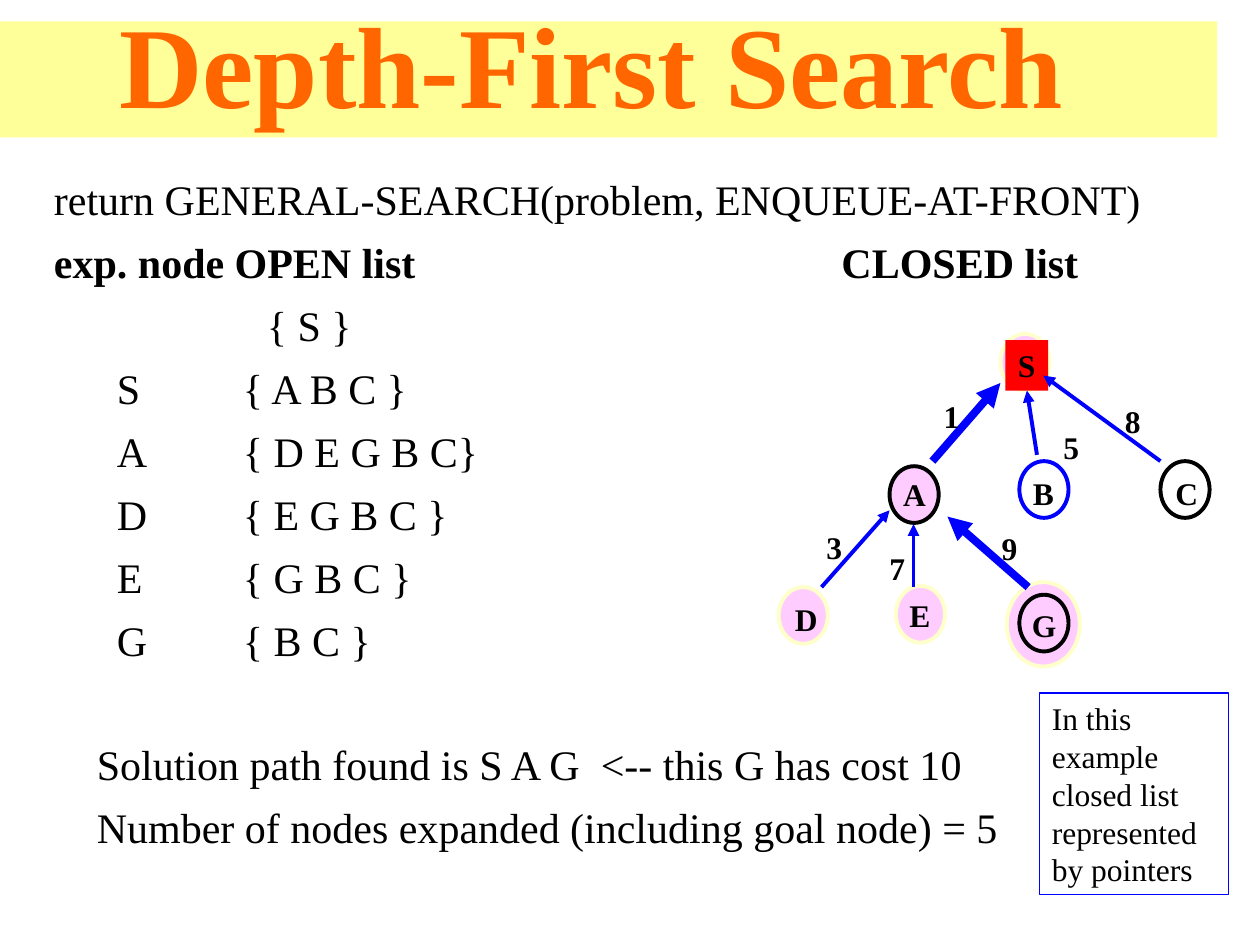
from lxml import etree
from pptx import Presentation
from pptx.dml.color import RGBColor
from pptx.enum.shapes import MSO_CONNECTOR, MSO_SHAPE
from pptx.enum.text import MSO_ANCHOR, MSO_AUTO_SIZE, PP_ALIGN
from pptx.oxml.ns import qn
from pptx.util import Pt

RECT, OVAL = MSO_SHAPE.RECTANGLE, MSO_SHAPE.OVAL
STRAIGHT = MSO_CONNECTOR.STRAIGHT
TOP, BOTTOM = MSO_ANCHOR.TOP, MSO_ANCHOR.BOTTOM
LEFT, CENTER = PP_ALIGN.LEFT, PP_ALIGN.CENTER
GROW = MSO_AUTO_SIZE.SHAPE_TO_FIT_TEXT

PX = 9144  # 100 px to the inch
FONT = "Times New Roman"
COLORS = {
    "black": "000000", "blue": "0000FF", "red": "FF0000", "orange": "FF6600",
    "yellow": "FFFF99", "cream": "FFFFCC", "pink": "FFCCFF",
}

TITLE = "Depth-First Search"
NOTE = "In this example closed list represented by pointers"

# text, bold, left indent, space before in points, tab stops
ROW_TABS = (50, 150)
BODY = [
    ("return GENERAL-SEARCH(problem, ENQUEUE-AT-FRONT)", False, 0, 0, ()),
    ("exp. node OPEN list\tCLOSED list", True, 0, 7.2, (625,)),
    ("\t{ S }", False, 0, 7.2, (169,)),
    ("\tS\t{ A B C }", False, 0, 7.2, ROW_TABS),
    ("\tA\t{ D E G B C}", False, 0, 7.2, ROW_TABS),
    ("\tD\t{ E G B C }", False, 0, 7.2, ROW_TABS),
    ("\tE\t{ G B C }", False, 0, 7.2, ROW_TABS),
    ("\tG\t{ B C }", False, 0, 7.2, ROW_TABS),
    ("Solution path found is S A G  <-- this G has cost 10", False, 34, 42, ()),
    ("Number of nodes expanded (including goal node) = 5", False, 34, 7.2, ()),
]

# left, top, width, height, fill, line
NODE = (39, 45)
GOAL_HALO = (799, 462, 58, 67, "pink", "cream")
OVALS = [
    (794, 265, *NODE, "pink", "cream"),
    (921, 366, *NODE, None, "black"),
    (809, 366, *NODE, None, "blue"),
    (706, 370, *NODE, "pink", "black"),
    (618, 466, *NODE, "pink", "cream"),
    (711, 465, *NODE, "pink", "cream"),
    (809, 472, *NODE, None, "black"),
]

# text, left, top, width
LABELS = [
    ("C", 923, 371, 38), ("B", 810, 371, 36), ("A", 707, 372, 38),
    ("D", 621, 471, 38), ("E", 712, 468, 36), ("G", 809, 476, 39),
    ("1", 739, 310, 32), ("5", 834, 335, 32), ("8", 883, 314, 32),
    ("9", 785, 415, 32), ("3", 646, 414, 32), ("7", 696, 431, 32),
]
LABEL_HEIGHT = 40

# parent end (arrowhead), child end, width in points
START_TO_B = (813, 310, 823, 361, 2.25)
POINTERS = [
    (794, 304, 740, 366, 4.5),
    (725, 416, 725, 466, 2.25),
    (752, 410, 816, 466, 4.5),
    (828, 298, 921, 366, 2.25),
    (706, 405, 652, 466, 2.25),
]


def rgb(name):
    return RGBColor.from_string(COLORS[name])


def add_shape(page, kind, left, top, width, height, fill=None, line=None, weight=2.25):
    shape = page.shapes.add_shape(kind, *(n * PX for n in (left, top, width, height)))
    shape.shadow.inherit = False
    if fill:
        shape.fill.solid()
        shape.fill.fore_color.rgb = rgb(fill)
    else:
        shape.fill.background()
    if line:
        shape.line.color.rgb = rgb(line)
        shape.line.width = Pt(weight)
    else:
        shape.line.fill.background()
    return shape


def format_frame(shape, **values):
    settings = {
        "margin_left": 10 * PX, "margin_right": 10 * PX,
        "margin_top": 5 * PX, "margin_bottom": 5 * PX,
        "vertical_anchor": TOP, "word_wrap": True, **values,
    }
    for name, value in settings.items():
        setattr(shape.text_frame, name, value)


def write(para, text, size, color="black", bold=False, align=LEFT):
    para.alignment = align
    span = para.add_run()
    span.text = text
    for name, value in {"name": FONT, "size": Pt(size), "bold": bold}.items():
        setattr(span.font, name, value)
    span.font.color.rgb = rgb(color)


def add_label(page, text, left, top, width):
    box = page.shapes.add_textbox(*(n * PX for n in (left, top, width, LABEL_HEIGHT)))
    format_frame(box, word_wrap=False, auto_size=GROW)
    write(box.text_frame.paragraphs[0], text, 18, bold=True)


def add_pointer(page, x1, y1, x2, y2, weight):
    pointer = page.shapes.add_connector(STRAIGHT, *(n * PX for n in (x1, y1, x2, y2)))
    pointer.line.color.rgb = rgb("blue")
    pointer.line.width = Pt(weight)
    etree.SubElement(pointer.line._get_or_add_ln(), qn("a:headEnd"), type="triangle")
    etree.SubElement(pointer._element.spPr, qn("a:effectLst"))
    return pointer


def add_body(page):
    box = page.shapes.add_textbox(33 * PX, 133 * PX, 891 * PX, 583 * PX)
    format_frame(box)
    for index, (text, bold, indent, before, stops) in enumerate(BODY):
        frame = box.text_frame
        para = frame.add_paragraph() if index else frame.paragraphs[0]
        para.space_before = Pt(before)
        properties = para._p.get_or_add_pPr()
        properties.set("marL", str(indent * PX))
        if stops:
            tabs = etree.SubElement(properties, qn("a:tabLst"))
            for stop in stops:
                etree.SubElement(tabs, qn("a:tab"), pos=str(stop * PX), algn="l")
        write(para, text, 24, bold=bold)


def main():
    deck = Presentation()
    deck.slide_width, deck.slide_height = 1000 * PX, 750 * PX
    page = deck.slides.add_slide(deck.slide_layouts[6])

    add_shape(page, OVAL, *GOAL_HALO)
    title = add_shape(page, RECT, 0, 17, 966, 92, "yellow")
    format_frame(title, vertical_anchor=BOTTOM, margin_right=37 * PX)
    write(title.text_frame.paragraphs[0], TITLE, 66, "orange", True, CENTER)
    add_body(page)

    for oval in OVALS:
        add_shape(page, OVAL, *oval)
    start = add_shape(page, RECT, 798, 270, 34, 40, "red")
    format_frame(start, word_wrap=False, auto_size=GROW)
    write(start.text_frame.paragraphs[0], "S", 18, bold=True)

    for pointer in POINTERS:
        add_pointer(page, *pointer)
    add_pointer(page, *START_TO_B).begin_connect(start, 2)
    for label in LABELS:
        add_label(page, *label)

    note = add_shape(page, RECT, 825, 550, 150, 160, None, "blue", 0.75)
    format_frame(note, auto_size=GROW)
    write(note.text_frame.paragraphs[0], NOTE, 18)

    deck.save("out.pptx")


if __name__ == "__main__":
    main()
